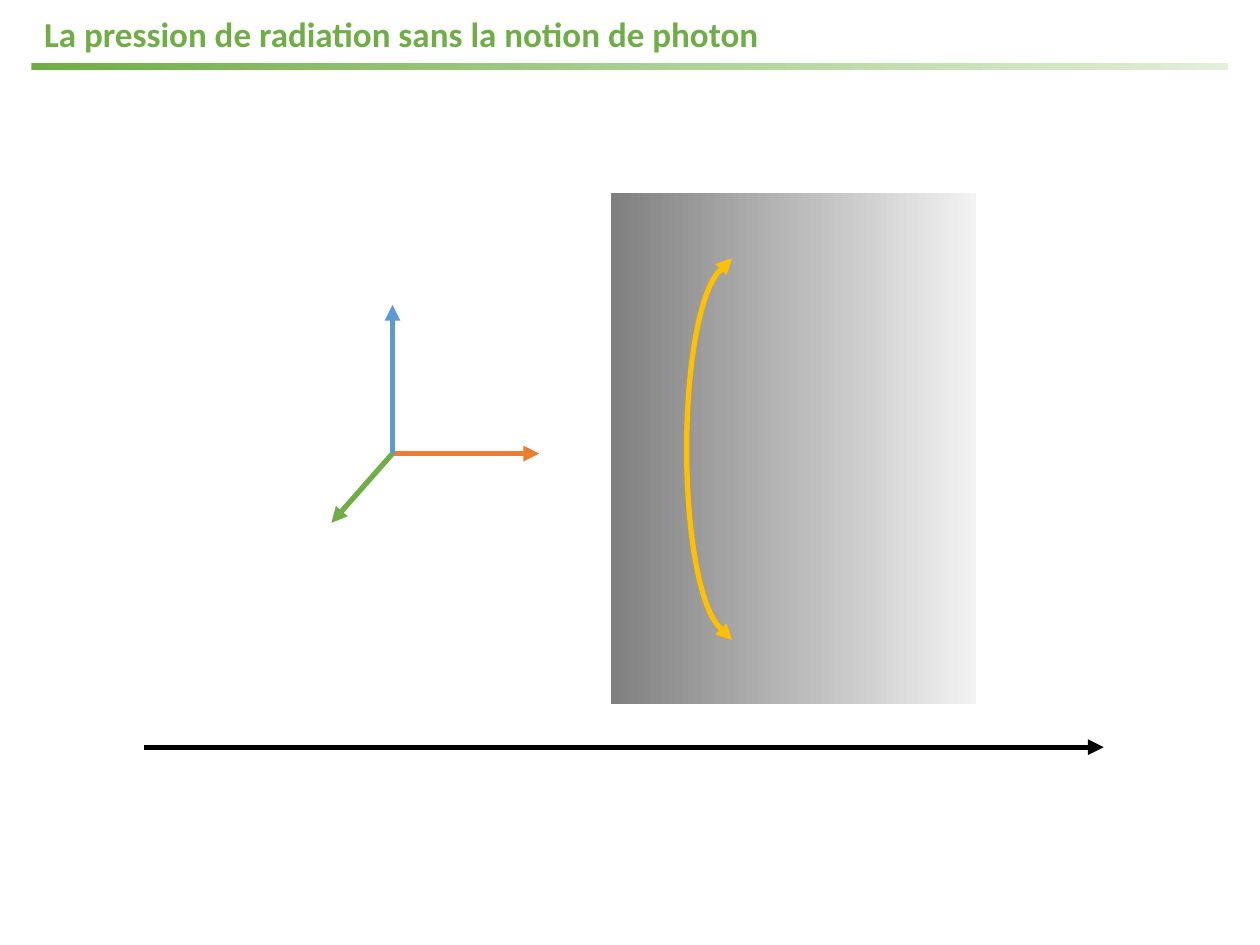
"""Build a slide on radiation pressure explained without the photon."""
from lxml import etree
from pptx import Presentation
from pptx import util as u
from pptx.dml.color import RGBColor
from pptx.enum import shapes, text
from pptx.oxml import ns

GREEN = RGBColor(0x70, 0xAD, 0x47)
PALE_GREEN = RGBColor(0xE2, 0xF0, 0xD9)
GREY = RGBColor(0x80, 0x80, 0x80)
PALE_GREY = RGBColor(0xF2, 0xF2, 0xF2)
ORANGE = RGBColor(0xED, 0x7D, 0x31)
BLUE = RGBColor(0x5B, 0x9B, 0xD5)
GOLD = RGBColor(0xFF, 0xC0, 0x00)
BLACK = RGBColor(0, 0, 0)


class Sheet:
    """Hold the style and the slide, placed on a grid of 40 columns by 30 rows."""

    FONT = "Calibri"
    TITLE_SIZE = u.Pt(20)
    STROKE = u.Pt(3)
    COLUMNS, ROWS = 40, 30

    def __init__(self, deck):
        self.column = deck.slide_width / self.COLUMNS
        self.row = deck.slide_height / self.ROWS
        self.slide = deck.slides.add_slide(deck.slide_layouts[5])

    def grid(self, *lengths):
        """Turn alternating columns and rows into slide lengths."""
        steps = (self.column, self.row)
        return [u.Emu(round(n * steps[i % 2])) for i, n in enumerate(lengths)]

    def group(self):
        """Return the shapes of a new group."""
        return self.slide.shapes.add_group_shape().shapes

    def title(self, wording, *box):
        """Move, fill and format the title placeholder."""
        heading = self.slide.shapes.title
        heading.left, heading.top, heading.width, heading.height = self.grid(*box)
        frame = heading.text_frame
        frame.text = wording
        frame.auto_size = text.MSO_AUTO_SIZE.NONE
        frame.vertical_anchor = text.MSO_ANCHOR.MIDDLE
        paragraph = frame.paragraphs[0]
        paragraph.alignment = text.PP_ALIGN.LEFT
        paragraph.line_spacing = 0.9
        font = paragraph.runs[0].font
        font.name, font.size, font.bold = self.FONT, self.TITLE_SIZE, True
        font.color.rgb = GREEN

    def gradient(self, parent, start, end, *box):
        """Add a borderless rectangle fading from left to right."""
        band = parent.add_shape(shapes.MSO_SHAPE.RECTANGLE, *self.grid(*box))
        band.shadow.inherit = False
        band.line.fill.background()
        band.fill.gradient()
        band.fill.gradient_angle = 0
        for stop, position, color in zip(band.fill.gradient_stops, (0, 1), (start, end)):
            stop.position = position
            stop.color.rgb = color

    def arrow(self, parent, color, *ends):
        """Add a straight line with a triangle at its far end."""
        line = parent.add_connector(shapes.MSO_CONNECTOR.STRAIGHT, *self.grid(*ends))
        line.line.color.rgb = color
        line.line.width = self.STROKE
        etree.SubElement(line.line._get_or_add_ln(), ns.qn("a:tailEnd"), type="triangle")
        etree.SubElement(line._element.spPr, ns.qn("a:effectLst"))

    def left_arc(self, parent, color, lower, *box):
        """Add the upper or lower left quarter of an ellipse."""
        arc = parent.add_shape(shapes.MSO_SHAPE.ARC, *self.grid(*box))
        arc.shadow.inherit = False
        arc.fill.background()
        arc.line.color.rgb = color
        arc.line.width = self.STROKE
        frame = arc._element.spPr.xfrm
        frame.set("flipH", "1")
        if lower:
            frame.set("flipV", "1")


def main():
    """Build and save the deck."""
    deck = Presentation()
    deck.slide_width, deck.slide_height = u.Inches(10), u.Inches(7.5)
    sheet = Sheet(deck)
    sheet.title("La pression de radiation sans la notion de photon", 1, 0.32, 38, 1.68)
    sheet.gradient(sheet.slide.shapes, GREEN, PALE_GREEN, 1, 2, 38, 0.24)

    scene = sheet.group()
    sheet.gradient(scene, GREY, PALE_GREY, 19.4, 6.12, 11.6, 16.24)
    origin = (12.46, 14.4)
    for color, tip in ((ORANGE, (17.12, 14.4)), (BLUE, (12.46, 9.68)), (GREEN, (10.52, 16.6))):
        sheet.arrow(scene, color, *origin, *tip)
    sheet.arrow(scene, BLACK, 4.56, 23.72, 35.04, 23.72)

    middle = 14.26
    for side in (-1, 1):
        oscillation = sheet.group()
        sheet.left_arc(oscillation, GOLD, side > 0, 21.8, middle - 5.8, 2.68, 11.6)
        sheet.arrow(oscillation, GOLD, 22.92, middle + side * 5.74, 23.24, middle + side * 6.06)

    deck.save("out.pptx")


if __name__ == "__main__":
    main()
